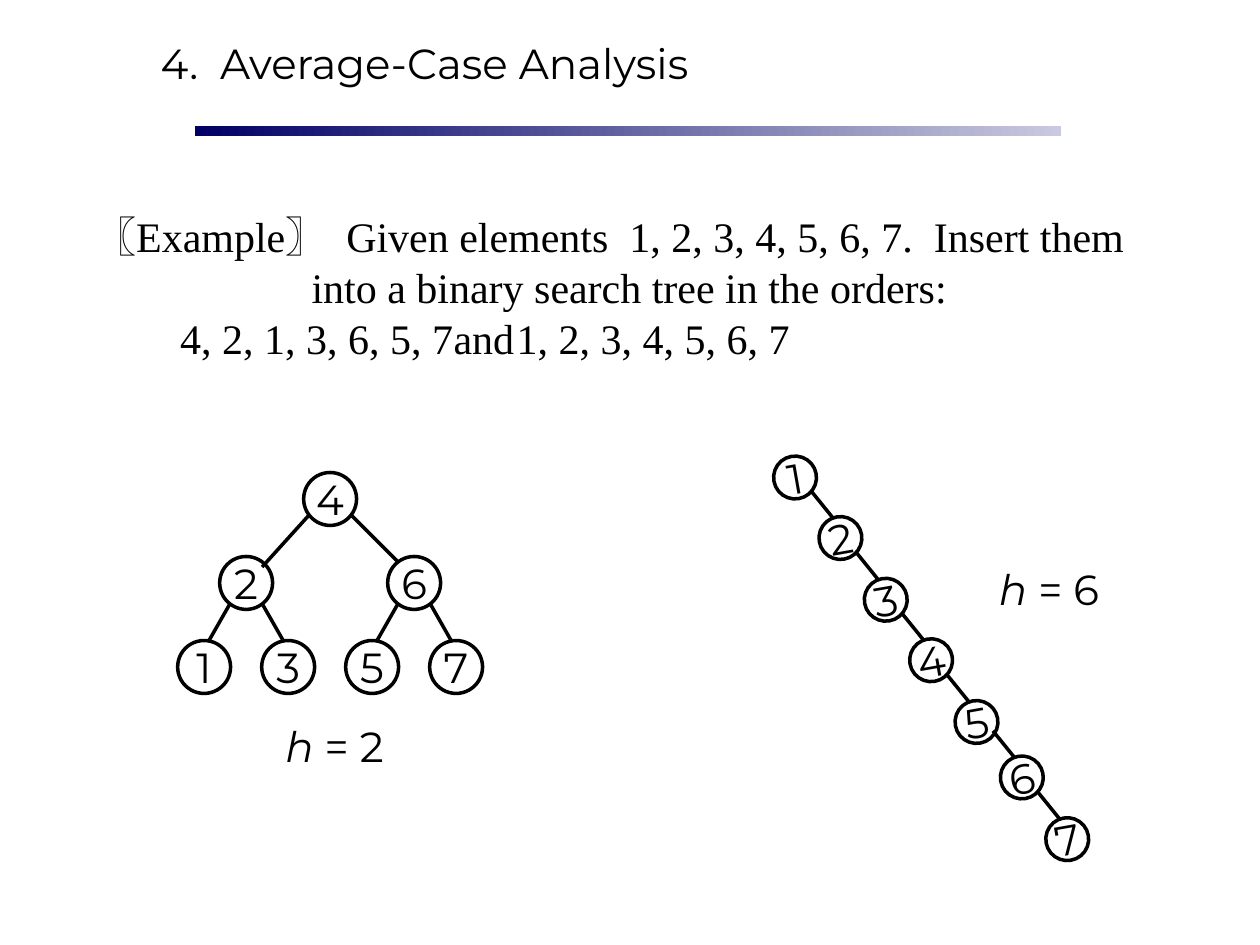
from lxml.etree import SubElement
from pptx import Presentation
from pptx.dml.color import RGBColor
from pptx.enum.shapes import MSO_CONNECTOR, MSO_SHAPE
from pptx.enum.text import MSO_ANCHOR, MSO_AUTO_SIZE, PP_ALIGN
from pptx.oxml.ns import qn
from pptx.util import Inches, Pt

BLACK = RGBColor(0x00, 0x00, 0x00)
NAVY = RGBColor(0x00, 0x00, 0x66)
PALE = RGBColor(0xC9, 0xC9, 0xDF)
SANS = "Montserrat"
SERIF = "Times New Roman"


def place(shape, left, top, width, height):
    shape.left, shape.top = Inches(left), Inches(top)
    shape.width, shape.height = Inches(width), Inches(height)


def add_run(para, text, font=SANS, italic=False):
    run = para.add_run()
    run.text = text
    run.font.name = font
    run.font.size = Pt(24)
    run.font.italic = italic
    run.font.color.rgb = BLACK


def set_frame(frame, anchor=MSO_ANCHOR.TOP, wrap=True):
    frame.auto_size = MSO_AUTO_SIZE.NONE
    frame.vertical_anchor = anchor
    frame.word_wrap = wrap


def set_layout(para, margin, indent, tabs=()):
    """Drop the bullet and set indents and tab stops, in inches."""
    props = para._p.get_or_add_pPr()
    props.set("marL", str(Inches(margin)))
    props.set("indent", str(Inches(indent)))
    SubElement(props, qn("a:buNone"))
    if tabs:
        stops = SubElement(props, qn("a:tabLst"))
        for pos in tabs:
            SubElement(stops, qn("a:tab"), pos=str(Inches(pos)), algn="l")
    para.space_before = Pt(0)
    para.line_spacing = Pt(29.1)


def add_title(slide):
    title = slide.shapes.title
    place(title, 0.58, 0.25, 5.58, 0.5)
    set_frame(title.text_frame)
    para = title.text_frame.paragraphs[0]
    para.alignment = PP_ALIGN.CENTER
    add_run(para, "4.  Average-Case Analysis")


def add_body(slide):
    body = slide.placeholders[1]
    place(body, 0.5, 1.62, 8.67, 1.3)
    frame = body.text_frame
    set_frame(frame)
    task = frame.paragraphs[0]
    set_layout(task, 0.32, -0.32)
    task.alignment = PP_ALIGN.CENTER
    add_run(task, "〖Example〗  Given elements  1, 2, 3, 4, 5, 6, 7.  Insert them "
                  "into a binary search tree in the orders:", SERIF)
    orders = frame.add_paragraph()
    set_layout(orders, 0, 0.83, (3.91, 5.47))
    orders.alignment = PP_ALIGN.LEFT
    add_run(orders, "4, 2, 1, 3, 6, 5, 7\tand\t1, 2, 3, 4, 5, 6, 7", SERIF)


def add_bar(slide):
    bar = slide.shapes.add_shape(MSO_SHAPE.RECTANGLE, 0, 0, 0, 0)
    place(bar, 1.55, 1, 6.87, 0.08)
    bar.shadow.inherit = False
    bar.line.fill.background()
    bar.fill.gradient()
    bar.fill.gradient_angle = 0
    for stop, color in zip(bar.fill.gradient_stops, (NAVY, PALE)):
        stop.color.rgb = color


def add_node(slide, key, left, top, size, turn=0):
    node = slide.shapes.add_shape(MSO_SHAPE.OVAL, 0, 0, 0, 0)
    place(node, left, top, size, size)
    node.rotation = turn
    node.shadow.inherit = False
    node.fill.background()
    node.line.color.rgb = BLACK
    node.line.width = Pt(2)
    set_frame(node.text_frame, MSO_ANCHOR.MIDDLE, False)
    para = node.text_frame.paragraphs[0]
    para.alignment = PP_ALIGN.CENTER
    add_run(para, str(key))


def add_edge(slide, x1, y1, x2, y2):
    edge = slide.shapes.add_connector(
        MSO_CONNECTOR.STRAIGHT, Inches(x1), Inches(y1), Inches(x2), Inches(y2))
    edge.line.color.rgb = BLACK
    edge.line.width = Pt(2)
    SubElement(edge._element.spPr, qn("a:effectLst"))


def add_height(slide, value, left, top, width):
    box = slide.shapes.add_textbox(0, 0, 0, 0)
    place(box, left, top, width, 0.5)
    set_frame(box.text_frame)
    para = box.text_frame.paragraphs[0]
    para.alignment = PP_ALIGN.CENTER
    add_run(para, "h", italic=True)
    add_run(para, f" = {value}")


def add_tree(slide):
    """Draw the balanced tree; keys run evenly from left to right."""
    size, step = 0.42, 1 / 3
    levels = {4: 0, 2: 1, 6: 1, 1: 2, 3: 2, 5: 2, 7: 2}
    for key, level in levels.items():
        left, top = 1.41 + (key - 1) * step, 3.75 + level * 2 * step
        add_node(slide, key, left, top, size)
        if level == 1:
            mid = left + size / 2
            for side in (-1, 1):
                add_edge(slide, mid + side * 0.125, top + 0.37,
                         mid + side * 0.29, top + 0.66)
    add_edge(slide, 2.46, 4.08, 2.08, 4.5)
    add_edge(slide, 2.78, 4.08, 3.16, 4.46)


def add_chain(slide):
    """Draw the one-sided tree as a tilted chain."""
    tops = (3.62, 4.1, 4.59, 5.07, 5.56, 6, 6.49)
    for key, top in enumerate(tops, 1):
        left = 6.14 + (key - 1) * 0.36
        add_node(slide, key, left, top, 0.34, 350)
        if key > 1:
            add_edge(slide, left - 0.06, top - 0.2, left + 0.11, top + 0.01)


def main():
    deck = Presentation()
    deck.slide_width, deck.slide_height = Inches(10), Inches(7.5)
    slide = deck.slides.add_slide(deck.slide_layouts[1])
    add_bar(slide)
    add_title(slide)
    add_body(slide)
    add_tree(slide)
    add_height(slide, 2, 1.74, 5.67, 1.83)
    add_chain(slide)
    add_height(slide, 6, 7.49, 4.42, 1.67)
    deck.save("out.pptx")


if __name__ == "__main__":
    main()
